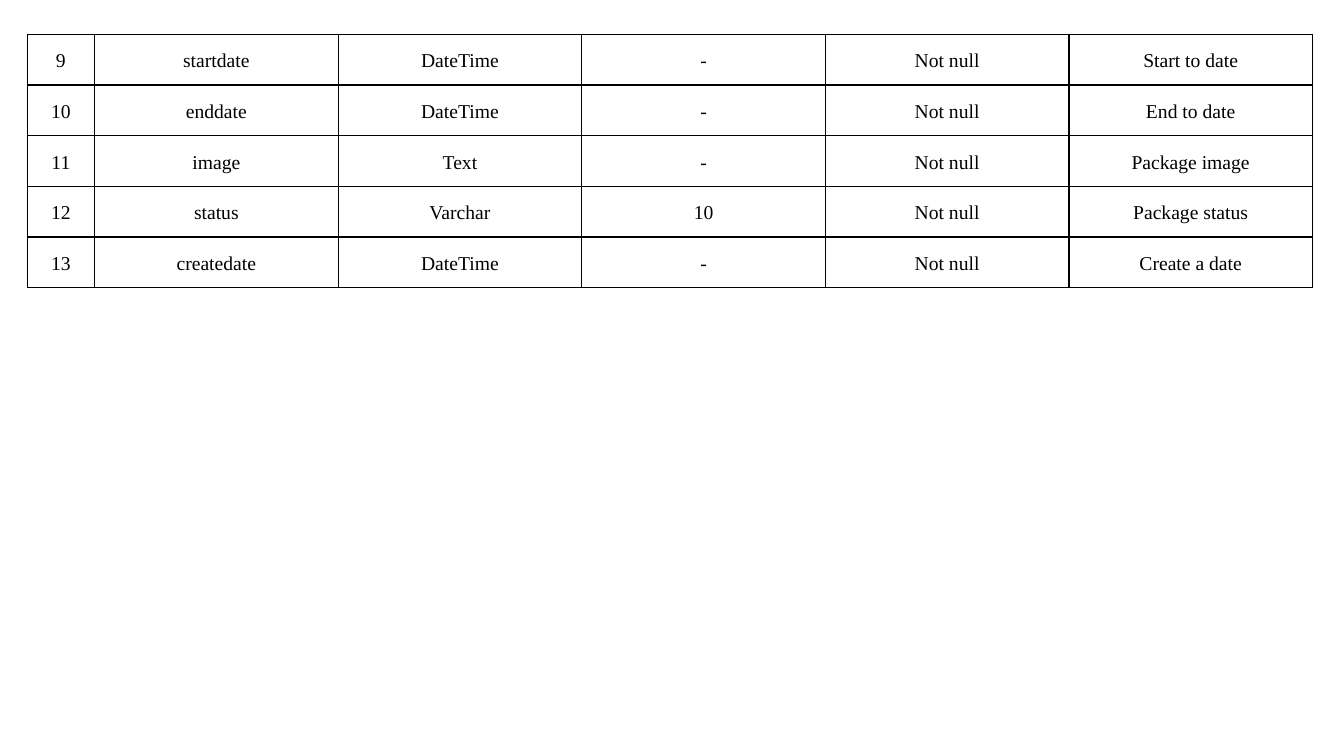
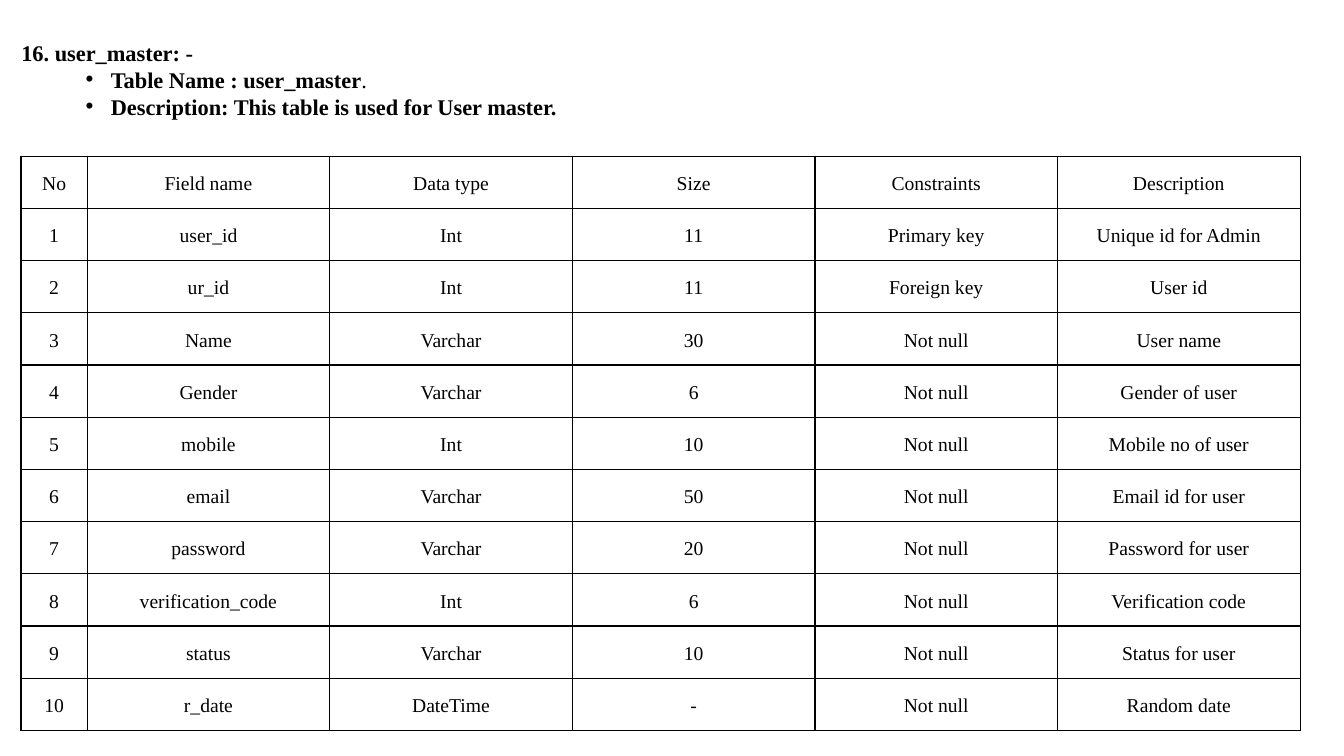
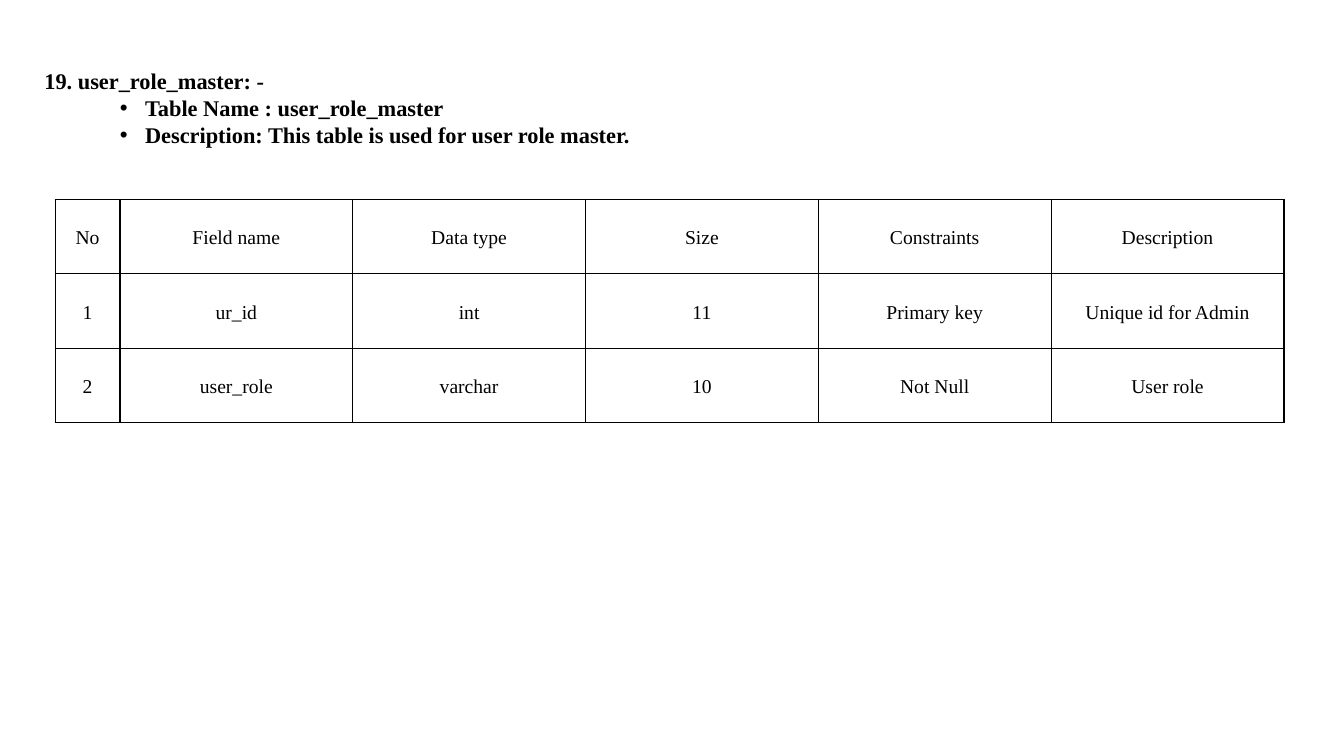
import pptx
import pptx.dml.color
import pptx.enum.text
import pptx.oxml
import pptx.oxml.ns
import pptx.util
import lxml.etree

Pt = pptx.util.Pt
BLACK = pptx.dml.color.RGBColor(0x00, 0x00, 0x00)
WHITE = pptx.dml.color.RGBColor(0xFF, 0xFF, 0xFF)
FONT = "Times New Roman"
LEFT = pptx.enum.text.PP_ALIGN.LEFT
CENTER = pptx.enum.text.PP_ALIGN.CENTER
MIDDLE = pptx.enum.text.MSO_ANCHOR.MIDDLE
TOP = pptx.enum.text.MSO_ANCHOR.TOP
HEADING_SIZE = 16
HEADING_LINE = 19.3
BULLET_INDENT = 18
HEADER = ("No", "Field name", "Data type", "Size", "Constraints", "Description")


def write(paragraph, text, size=14, bold=False, align=CENTER, spacing=1.15):
    paragraph.alignment = align
    paragraph.line_spacing = spacing
    run = paragraph.add_run()
    run.text = text
    run.font.name = FONT
    run.font.size = Pt(size)
    run.font.bold = bold
    run.font.color.rgb = BLACK


def place(shape, left, top, width, height):
    shape.left, shape.top = Pt(left), Pt(top)
    shape.width, shape.height = Pt(width), Pt(height)
    frame = shape.text_frame
    frame.word_wrap = True
    frame.auto_size = pptx.enum.text.MSO_AUTO_SIZE.NONE
    frame.vertical_anchor = TOP
    frame.margin_left = frame.margin_right = 0
    frame.margin_top = frame.margin_bottom = 0
    return frame


pages = [
    {
        "table": (19.4, 24.5), "columns": (48.2, 174), "row": 36.2, "margin": 4.5,
        "rows": [
            ("9", "startdate", "DateTime", "-", "Not null", "Start to date"),
            ("10", "enddate", "DateTime", "-", "Not null", "End to date"),
            ("11", "image", "Text", "-", "Not null", "Package image"),
            ("12", "status", "Varchar", "10", "Not null", "Package status"),
            ("13", "createdate", "DateTime", "-", "Not null", "Create a date"),
        ],
    },
    {
        "title": "16. user_master: -", "title_at": (15.2, 27.6), "bullet_left": 61.2,
        "bullets": [
            [("Table Name : user_master", True), (".", False)],
            [("Description: This table is used for User master.", True)],
        ],
        "table": (15, 111.6), "columns": (47.3, 173.3), "row": 37.3, "margin": 5,
        "rows": [
            HEADER,
            ("1", "user_id", "Int", "11", "Primary key", "Unique id for Admin"),
            ("2", "ur_id", "Int", "11", "Foreign key", "User id"),
            ("3", "Name", "Varchar", "30", "Not null", "User name"),
            ("4", "Gender", "Varchar", "6", "Not null", "Gender of user"),
            ("5", "mobile", "Int", "10", "Not null", "Mobile no of user"),
            ("6", "email", "Varchar", "50", "Not null", "Email id for user"),
            ("7", "password", "Varchar", "20", "Not null", "Password for user"),
            ("8", "verification_code", "Int", "6", "Not null", "Verification code"),
            ("9", "status", "Varchar", "10", "Not null", "Status for user"),
            ("10", "r_date", "DateTime", "-", "Not null", "Random date"),
        ],
    },
    {
        "title": "19. user_role_master: -", "title_at": (31.7, 47.8), "bullet_left": 85.7,
        "bullets": [
            [("Table Name : user_role_master", True)],
            [("Description: This table is used for user role master.", True)],
        ],
        "table": (39.4, 142.5), "columns": (46.3, 166.3), "row": 53.1, "margin": 5,
        "rows": [
            HEADER,
            ("1", "ur_id", "int", "11", "Primary key", "Unique id for Admin"),
            ("2", "user_role", "varchar", "10", "Not Null", "User role"),
        ],
    },
]

presentation = pptx.Presentation()
presentation.slide_width = Pt(960)
presentation.slide_height = Pt(540)
title_only, blank = presentation.slide_layouts[5], presentation.slide_layouts[6]

for page in pages:
    slide = presentation.slides.add_slide(title_only if "title" in page else blank)

    if "title" in page:
        left, top = page["title_at"]
        frame = place(slide.shapes.title, left, top, 860, HEADING_LINE)
        write(frame.paragraphs[0], page["title"], size=HEADING_SIZE, bold=True,
              align=LEFT, spacing=Pt(HEADING_LINE))

        box = slide.shapes.add_textbox(0, 0, 0, 0)
        frame = place(box, page["bullet_left"], top + HEADING_LINE, 800, 2 * HEADING_LINE)
        for index, runs in enumerate(page["bullets"]):
            paragraph = frame.add_paragraph() if index else frame.paragraphs[0]
            properties = paragraph._p.get_or_add_pPr()
            properties.set("marL", str(Pt(BULLET_INDENT)))
            properties.set("indent", str(-Pt(BULLET_INDENT)))
            font = lxml.etree.SubElement(properties, pptx.oxml.ns.qn("a:buFont"))
            font.set("typeface", "Arial")
            bullet = lxml.etree.SubElement(properties, pptx.oxml.ns.qn("a:buChar"))
            bullet.set("char", "•")
            for text, bold in runs:
                write(paragraph, text, size=HEADING_SIZE, bold=bold,
                      align=LEFT, spacing=Pt(HEADING_LINE))

    rows = page["rows"]
    left, top = page["table"]
    number_width, field_width = page["columns"]
    widths = [number_width] + [field_width] * (len(HEADER) - 1)
    table = slide.shapes.add_table(len(rows), len(HEADER), Pt(left), Pt(top),
                                   Pt(sum(widths)), Pt(page["row"] * len(rows))).table
    table.first_row = table.horz_banding = False
    for column, width in zip(table.columns, widths):
        column.width = Pt(width)
    for row, values in zip(table.rows, rows):
        row.height = Pt(page["row"])
        for cell, value in zip(row.cells, values):
            cell.margin_left = cell.margin_right = Pt(page["margin"])
            cell.margin_top = cell.margin_bottom = 0
            cell.vertical_anchor = MIDDLE
            properties = cell._tc.get_or_add_tcPr()
            for side in ("lnL", "lnR", "lnT", "lnB"):
                line = lxml.etree.SubElement(properties, pptx.oxml.ns.qn(f"a:{side}"))
                line.set("w", str(Pt(1)))
                fill = lxml.etree.SubElement(line, pptx.oxml.ns.qn("a:solidFill"))
                color = lxml.etree.SubElement(fill, pptx.oxml.ns.qn("a:srgbClr"))
                color.set("val", str(BLACK))
            cell.fill.solid()
            cell.fill.fore_color.rgb = WHITE
            write(cell.text_frame.paragraphs[0], value)

presentation.save("out.pptx")
